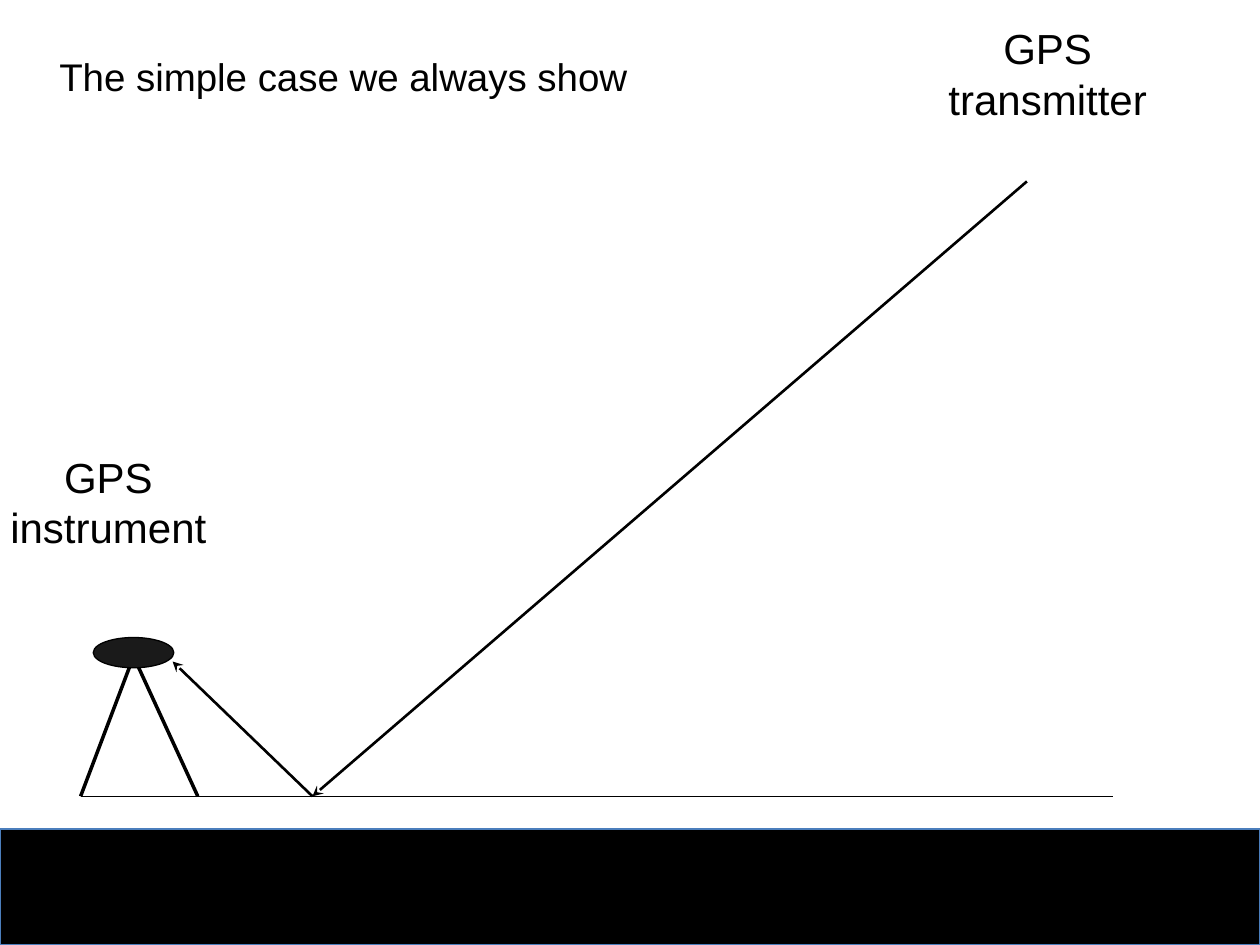
from lxml import etree
from pptx import Presentation
from pptx.dml.color import RGBColor
from pptx.enum.shapes import MSO_CONNECTOR, MSO_SHAPE
from pptx.enum.text import MSO_ANCHOR, MSO_AUTO_SIZE, PP_ALIGN
from pptx.oxml.ns import qn
from pptx.util import Inches, Pt

LINE = MSO_CONNECTOR.STRAIGHT
RECT, OVAL = MSO_SHAPE.RECTANGLE, MSO_SHAPE.OVAL
TOP, CENTER = MSO_ANCHOR.TOP, PP_ALIGN.CENTER
NO_FIT = MSO_AUTO_SIZE.NONE

BLACK = RGBColor(0x00, 0x00, 0x00)
DARK = RGBColor(0x1A, 0x1A, 0x1A)
BLUE = RGBColor(0x4B, 0x7E, 0xBC)
FONT = "Arial"


def add_line(shapes, start, end, width, arrow=False):
    """Draw a black line; an arrow has its head at the start."""
    ends = [Inches(v) for v in (*start, *end)]
    line = shapes.add_connector(LINE, *ends)
    line.line.color.rgb = BLACK
    line.line.width = Pt(width)
    if arrow:
        etree.SubElement(line.line._get_or_add_ln(), qn("a:headEnd"), type="stealth")
    etree.SubElement(line._element.spPr, qn("a:effectLst"))


def add_solid(shapes, kind, box, fill, edge):
    shape = shapes.add_shape(kind, *[Inches(v) for v in box])
    shape.shadow.inherit = False
    shape.fill.solid()
    shape.fill.fore_color.rgb = fill
    shape.line.color.rgb = edge
    shape.line.width = Pt(0.75)


def fill_text(shape, lines, size):
    frame = shape.text_frame
    frame.margin_left = frame.margin_right = 0
    frame.margin_top = frame.margin_bottom = 0
    frame.word_wrap = True
    frame.auto_size = NO_FIT
    frame.vertical_anchor = TOP
    for i, text in enumerate(lines):
        para = frame.add_paragraph() if i else frame.paragraphs[0]
        para.alignment = CENTER
        run = para.add_run()
        run.text = text
        run.font.name = FONT
        run.font.size = Pt(size)
        run.font.color.rgb = BLACK


def add_title(slide, box, text):
    title = slide.shapes.title
    title.left, title.top, title.width, title.height = [Inches(v) for v in box]
    fill_text(title, [text], 22)


def add_label(slide, box, lines):
    label = slide.shapes.add_textbox(*[Inches(v) for v in box])
    fill_text(label, lines, 24)


def add_tripod(slide, box):
    """Draw the instrument: two legs under an oval head."""
    left, top, width, height = box
    parts = slide.shapes.add_group_shape().shapes
    neck = left + 0.42
    for foot in (left, left + width):
        add_line(parts, (neck, top + 0.15), (foot, top + height), 2)
    add_solid(parts, OVAL, (left + 0.1, top, 0.64, 0.24), DARK, BLACK)


def add_signal(slide, box):
    """Draw the ray from the transmitter, bounced up to the instrument."""
    left, top, width, height = box
    bounce = (left + 1.11, top + height)
    add_line(slide.shapes, bounce, (left + width, top), 1.5, arrow=True)
    add_line(slide.shapes, (left, top + 3.81), bounce, 1.5, arrow=True)


def main():
    deck = Presentation()
    deck.slide_width, deck.slide_height = Inches(10), Inches(7.5)
    slide = deck.slides.add_slide(deck.slide_layouts.get_by_name("Title Only"))

    ground = 6.32
    add_solid(slide.shapes, RECT, (0, 6.58, 10, 0.92), BLACK, BLUE)
    add_line(slide.shapes, (0.64, ground), (8.83, ground), 0.75)
    add_title(slide, (0.42, 0.42, 4.61, 0.37), "The simple case we always show")
    add_tripod(slide, (0.64, 5.06, 0.93, ground - 5.06))
    add_label(slide, (0, 3.58, 1.72, 0.88), ["GPS", "instrument"])
    add_label(slide, (7.28, 0.18, 2.07, 0.88), ["GPS", "transmitter"])
    add_signal(slide, (1.37, 1.44, 6.78, ground - 1.44))
    deck.save("out.pptx")


if __name__ == "__main__":
    main()
